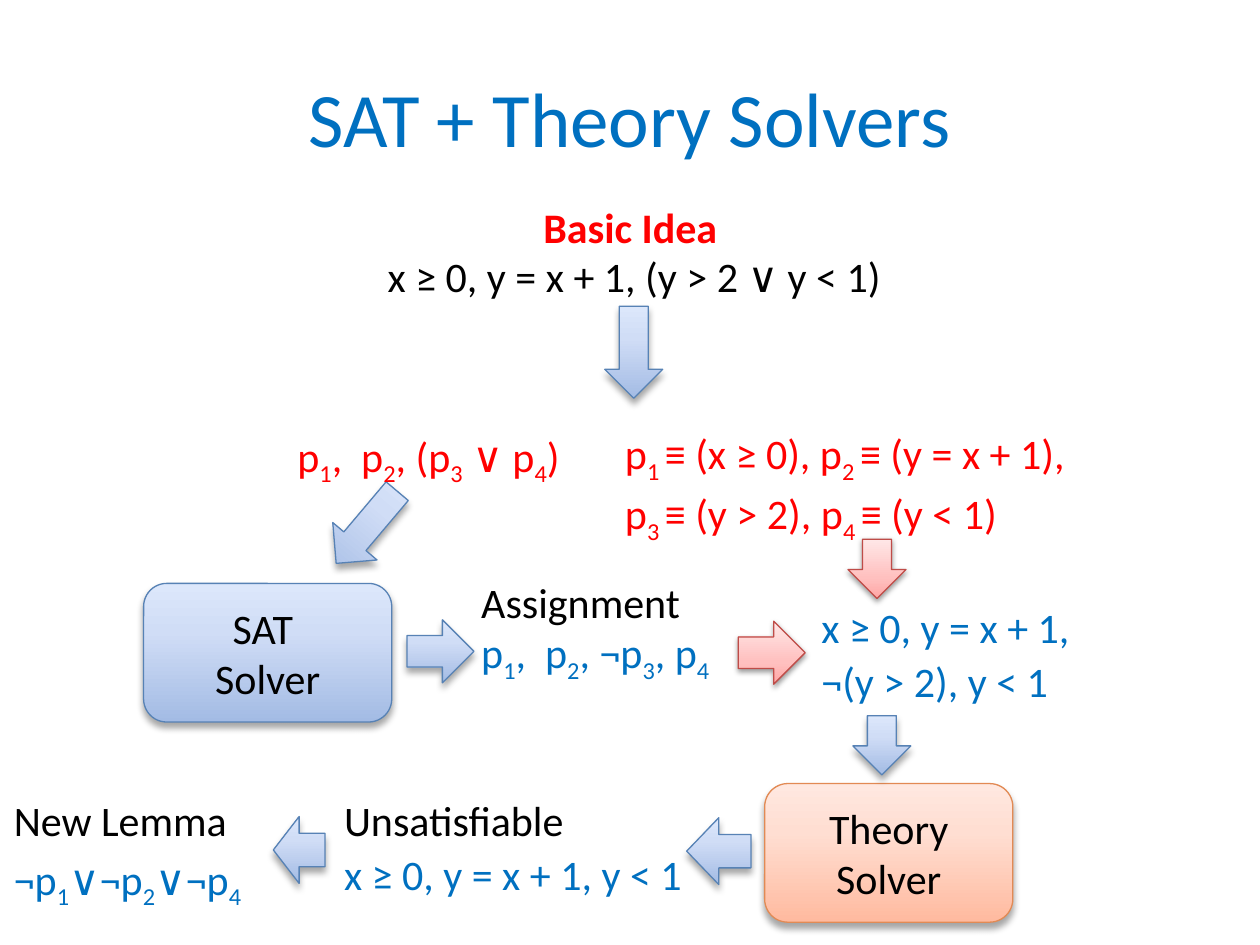
from copy import deepcopy
from dataclasses import dataclass

from lxml.etree import SubElement
from pptx import Presentation
from pptx.dml.color import RGBColor
from pptx.enum.shapes import MSO_SHAPE
from pptx.enum.text import MSO_ANCHOR, PP_ALIGN
from pptx.oxml.ns import qn
from pptx.util import Pt


@dataclass(frozen=True)
class Paint:
    stops: tuple  # (position, colour), from bottom to top
    line: str
    shadow: tuple = (35, 4, 3)  # opacity in percent, blur, distance


@dataclass(frozen=True)
class Theme:
    font: str = "Calibri"
    title_size: int = 44
    text_size: int = 24
    black: str = "000000"
    red: str = "FF0000"
    blue: str = "0070C0"
    blue_paint: Paint = Paint(
        ((0, "A3BBE4"), (0.65, "D0DDF6"), (1, "DCE7FB")), "5782B5")
    red_paint: Paint = Paint(
        ((0, "FFA6A5"), (0.35, "FFC0BF"), (1, "FFE7E7")), "BF4C48", (38, 3.1, 1.6))
    orange_paint: Paint = Paint(
        ((0, "FFBA9F"), (0.65, "FFDED2"), (1, "FFE8E0")), "E28A54")


THEME = Theme()
ARROW_WIDTH = 33.1
SOLVER_SIZE = (141.8, 79.2)


def apply(target, values):
    for name, value in values.items():
        setattr(target, name, value)


def place(left, top, width, height):
    return [Pt(value) for value in (left, top, width, height)]


def write(frame, lines, align=PP_ALIGN.LEFT, size=THEME.text_size, bold=False,
          spacing=0.9, gap=0.0, inset=(0, 0), anchor=MSO_ANCHOR.TOP):
    """Write (text, colour) lines; text in braces becomes a subscript."""
    side, edge = (Pt(value) for value in inset)
    apply(frame, {"word_wrap": True, "vertical_anchor": anchor,
                  "margin_left": side, "margin_right": side,
                  "margin_top": edge, "margin_bottom": edge})
    for index, (text, colour) in enumerate(lines):
        para = frame.paragraphs[0] if index == 0 else frame.add_paragraph()
        apply(para, {"alignment": align, "line_spacing": spacing,
                     "space_before": Pt(gap if index else 0)})
        for part, words in enumerate(text.replace("}", "{").split("{")):
            if not words:
                continue
            span = para.add_run()
            span.text = words
            apply(span.font, {"name": THEME.font, "size": Pt(size), "bold": bold})
            span.font.color.rgb = RGBColor.from_string(colour)
            if part % 2:
                span.font._element.set("baseline", "-25000")


def add_text(page, area, lines, **style):
    box = page.shapes.add_textbox(*place(*area))
    write(box.text_frame, lines, **style)


def add_painted(page, kind, area, paint, rotation=0.0):
    shape = page.shapes.add_shape(kind, *place(*area))
    shape.rotation = rotation
    properties = shape._element.spPr

    # Three-stop gradient and outline
    shape.fill.gradient()
    shape.fill.gradient_angle = 90
    stop_list = properties.find(".//" + qn("a:gsLst"))
    stop_list.append(deepcopy(stop_list[0]))
    for stop, (position, colour) in zip(shape.fill.gradient_stops, paint.stops):
        stop.position = position
        stop.color.rgb = RGBColor.from_string(colour)
    shape.line.color.rgb = RGBColor.from_string(paint.line)
    shape.line.width = Pt(0.75)

    # Soft shadow straight below
    shape.shadow.inherit = False
    opacity, blur, distance = paint.shadow
    shadow = SubElement(properties.find(qn("a:effectLst")), qn("a:outerShdw"),
                        blurRad=str(Pt(blur)), dist=str(Pt(distance)),
                        dir="5400000", rotWithShape="0")
    colour = SubElement(shadow, qn("a:srgbClr"), val=THEME.black)
    SubElement(colour, qn("a:alpha"), val=str(opacity * 1000))
    return shape


def add_solver(page, left, top, names, paint):
    solver = add_painted(page, MSO_SHAPE.ROUNDED_RECTANGLE,
                         (left, top, *SOLVER_SIZE), paint)
    write(solver.text_frame, [(name, THEME.black) for name in names],
          align=PP_ALIGN.CENTER, spacing=1.0, inset=(8.6, 4.3),
          anchor=MSO_ANCHOR.MIDDLE)


def add_headings(page):
    add_text(page, (36, 21.6, 648, 90), [("SAT + Theory Solvers", THEME.blue)],
             align=PP_ALIGN.CENTER, size=THEME.title_size, spacing=1.0,
             anchor=MSO_ANCHOR.MIDDLE)
    add_text(page, (30.2, 115.2, 660, 30), [("Basic Idea", THEME.red)],
             align=PP_ALIGN.CENTER, bold=True, spacing=1.0)
    add_text(page, (32.4, 146.2, 660, 25.9),
             [("x ≥ 0, y = x + 1, (y > 2 ∨ y < 1)", THEME.black)],
             align=PP_ALIGN.CENTER)


def add_arrows(page):
    down, right, left = (MSO_SHAPE.DOWN_ARROW, MSO_SHAPE.RIGHT_ARROW,
                         MSO_SHAPE.LEFT_ARROW)
    blue, red = THEME.blue_paint, THEME.red_paint
    for kind, area, paint, rotation in (
        (down, (345.6, 175, ARROW_WIDTH, 52.6), blue, 0),
        (down, (193, 274.3, ARROW_WIDTH, 54), blue, 40.2),
        (right, (232.6, 354.2, 38.2, 36), blue, 0),
        (right, (421.9, 355, 38.2, 36), red, 0),
        (down, (484.6, 308.2, ARROW_WIDTH, 33.8), red, 0),
        (down, (487.4, 409, ARROW_WIDTH, 33.8), blue, 0),
        (left, (392.4, 467.3, 36.7, 38.2), blue, 0),
        (left, (156.2, 466.6, 29.5, 38.2), blue, 0),
    ):
        add_painted(page, kind, area, paint, rotation)


def add_formulas(page):
    black, red, blue = THEME.black, THEME.red, THEME.blue
    for area, gap, lines in (
        ((169.9, 246.2, 171.4, 25.9), 0,
         [("p{1},  p{2}, (p{3} ∨ p{4})", red)]),
        ((357.1, 244.8, 293.8, 58.3), 4.8,
         [("p{1 }≡ (x ≥ 0), p{2 }≡ (y = x + 1),", red),
          ("p{3 }≡ (y > 2), p{4 }≡ (y < 1)", red)]),
        ((275, 332.6, 171.4, 52.6), 0,
         [("Assignment", black), ("p{1},  p{2}, ¬p{3}, p{4}", blue)]),
        ((469.4, 347, 156.2, 58.3), 4.8,
         [("x ≥ 0, y = x + 1,", blue), ("¬(y > 2), y < 1", blue)]),
        ((196.6, 457.2, 196.6, 58.3), 4.8,
         [("Unsatisfiable", black), ("x ≥ 0, y = x + 1, y < 1", blue)]),
        ((7.9, 457.2, 196.6, 58.3), 4.8,
         [("New Lemma", black), ("¬p{1}∨¬p{2}∨¬p{4}", blue)]),
    ):
        add_text(page, area, lines, gap=gap)


def main():
    deck = Presentation()
    deck.slide_width, deck.slide_height = Pt(720), Pt(540)
    page = deck.slides.add_slide(deck.slide_layouts[6])
    add_headings(page)
    add_solver(page, 82.1, 333.4, ("SAT ", "Solver"), THEME.blue_paint)
    add_solver(page, 437, 447.8, ("Theory", "Solver"), THEME.orange_paint)
    add_arrows(page)
    add_formulas(page)
    deck.save("out.pptx")


if __name__ == "__main__":
    main()
